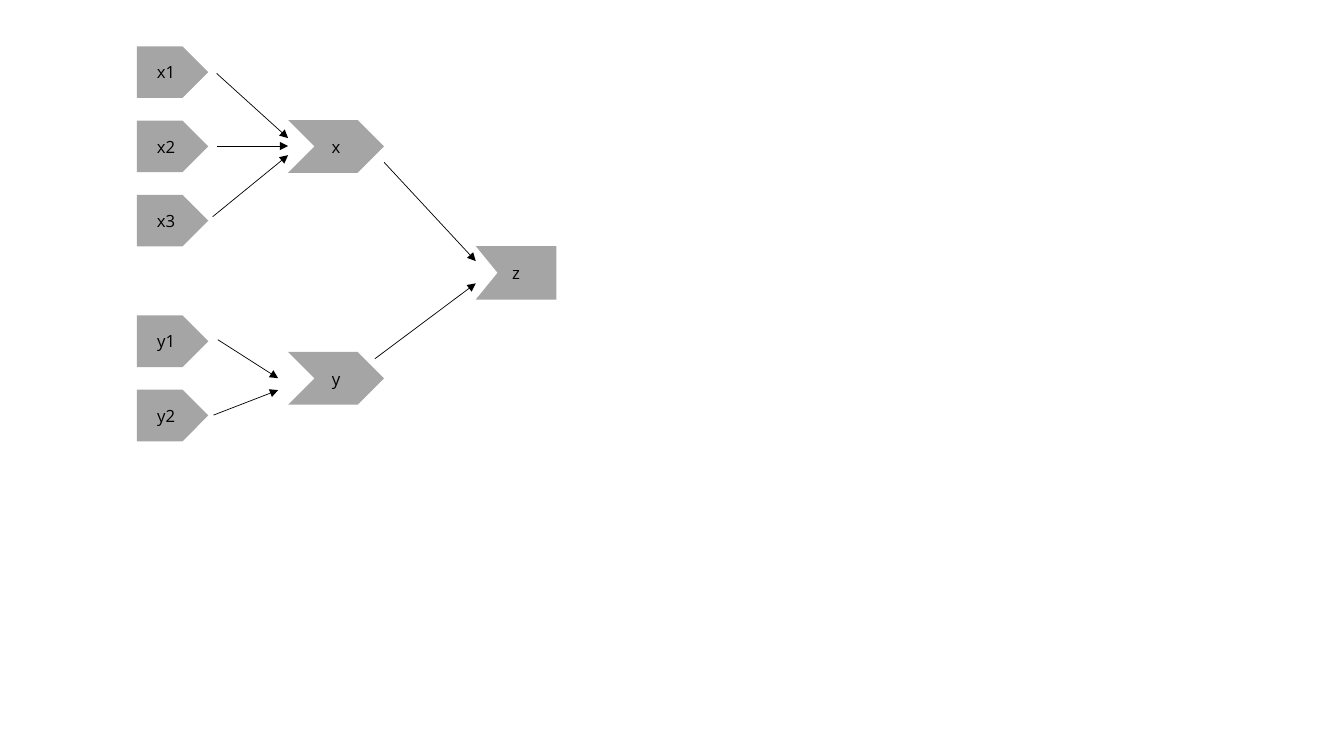
from lxml import etree
from pptx import Presentation
from pptx.dml.color import RGBColor
from pptx.enum import shapes, text
from pptx.oxml import ns
from pptx.util import Cm, Pt

COLORS = {"fill": "A5A5A5", "ink": "000000"}
FONT = "Open Sans"
KIND = shapes.MSO_SHAPE
TAG_W, TAG_H, STEP = 1.8, 1.3, 1.87   # input tags and their pitch
HUB_X, HUB_W, HUB_H = 3.81, 2.42, 1.33  # chevron, from the left of its group


def color(name):
    return RGBColor.from_string(COLORS[name])


def write(shape, words, size=12, ink="ink", font=FONT):
    frame = shape.text_frame
    frame.margin_left = frame.margin_right = 0
    frame.margin_top = frame.margin_bottom = 0
    frame.vertical_anchor = text.MSO_ANCHOR.MIDDLE
    line = frame.paragraphs[0]
    line.alignment = text.PP_ALIGN.CENTER
    run = line.add_run()
    run.text = words
    run.font.size, run.font.name = Pt(size), font
    run.font.color.rgb = color(ink)


def finish(shape, words):
    shape.shadow.inherit = False
    shape.fill.solid()
    shape.fill.fore_color.rgb = color("fill")
    shape.line.fill.background()
    write(shape, words)


def block(slide, kind, box, words):
    shape = slide.shapes.add_shape(kind, *map(Cm, box))
    shape.adjustments[0] = 0.5
    finish(shape, words)


def arrow(slide, left, top, ends):
    x1, y1, x2, y2 = ends
    link = slide.shapes.add_connector(
        shapes.MSO_CONNECTOR.STRAIGHT,
        Cm(left + x1), Cm(top + y1), Cm(left + x2), Cm(top + y2))
    link.line.width = Pt(0.5)
    link.line.color.rgb = color("ink")
    etree.SubElement(link.line._get_or_add_ln(), ns.qn("a:tailEnd"), type="triangle")
    etree.SubElement(link._element.spPr, ns.qn("a:effectLst"))


def group(slide, left, top, name, count, arrows):
    """Numbered input tags that lead to one chevron, centred beside them."""
    for i in range(count):
        box = (left, top + i * STEP, TAG_W, TAG_H)
        block(slide, KIND.PENTAGON, box, f"{name}{i + 1}")
    high = (count - 1) * STEP + TAG_H
    hub = (left + HUB_X, top + (high - HUB_H) / 2, HUB_W, HUB_H)
    block(slide, KIND.CHEVRON, hub, name)
    for ends in arrows:
        arrow(slide, left, top, ends)


def result(slide, left, top, wide, high, name, arrows):
    """Notched end block with the arrows that reach it."""
    right, low = left + wide, top + high
    points = [(right, top), (right, low), (left, low),
              (left + 0.55, top + high / 2)]
    outline = slide.shapes.build_freeform(Cm(left), Cm(top), scale=1.0)
    outline.add_line_segments([(Cm(x), Cm(y)) for x, y in points], close=True)
    finish(outline.convert_to_shape(), name)
    for ends in arrows:
        arrow(slide, left, top, ends)


deck = Presentation()
deck.slide_width, deck.slide_height = Cm(33.87), Cm(19.05)
slide = deck.slides.add_slide(deck.slide_layouts[6])

# Inputs of x and y; arrow ends are measured from the group's corner
group(slide, 3.45, 1.17, "x", 3, [
    (2.01, 0.68, 3.81, 2.31), (2.01, 2.51, 3.81, 2.51), (1.91, 4.29, 3.81, 2.74)])
group(slide, 3.45, 7.95, "y", 2, [
    (2.04, 0.61, 3.56, 1.58), (1.93, 2.51, 3.56, 1.88)])

# Both meet in z
result(slide, 11.99, 6.2, 2.03, 1.35, "z", [
    (-2.31, -2.11, 0, 0.38), (-2.54, 2.84, 0, 0.94)])

deck.save("out.pptx")
